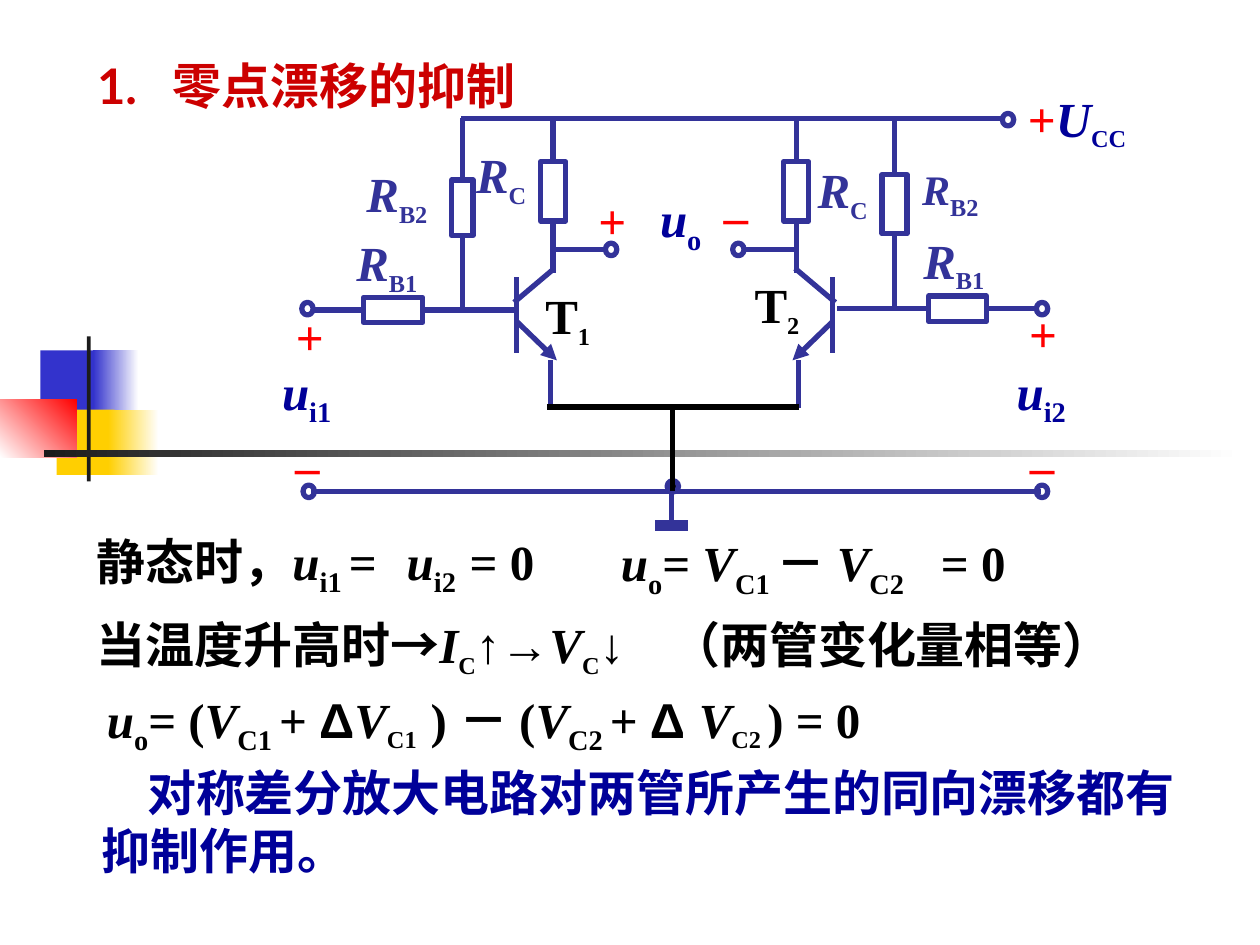
from typing import NamedTuple, Optional

from lxml.etree import SubElement
from pptx import Presentation
from pptx.dml.color import RGBColor
from pptx.enum.shapes import MSO_CONNECTOR, MSO_SHAPE
from pptx.enum.text import MSO_ANCHOR, MSO_AUTO_SIZE, PP_ALIGN
from pptx.oxml.ns import qn
from pptx.util import Inches, Pt

SERIF = "Times New Roman"
BLUE, NAVY, RED, BLACK = "333399", "000099", "FF0000", "000000"
TOP, LEFT, BOTTOM, RIGHT = range(4)


class Run(NamedTuple):
    text: str
    italic: bool = False
    drop: int = 0
    size: int = 28
    font: str = SERIF
    color: Optional[str] = None


class Label(NamedTuple):
    box: tuple
    runs: list
    color: str = BLACK
    tabs: tuple = ()
    indent: float = 0


class Block(NamedTuple):
    box: tuple
    start: str
    end: Optional[str] = None
    angle: int = 180


class Part(NamedTuple):
    """Resistor, placed by its centre."""
    x: float
    y: float
    w: float
    h: float


class Wire(NamedTuple):
    x1: float
    y1: float
    x2: float
    y2: float
    start: Optional[tuple] = None
    color: str = BLUE
    width: float = 3
    arrow: bool = False


def var(text: str, size: int = 28) -> Run:
    return Run(text, italic=True, size=size)


def sub(text: str, size: int = 28) -> Run:
    return Run(text, drop=-25, size=size)


def sym(text: str) -> Run:
    return Run(text, font="Arial")


def rgb(code: str) -> RGBColor:
    return RGBColor.from_string(code)


def set_tabs(para, stops: tuple) -> None:
    if stops:
        tabs = SubElement(para._p.get_or_add_pPr(), qn("a:tabLst"))
        for stop in stops:
            SubElement(tabs, qn("a:tab"), pos=str(Inches(stop)), algn="l")


def write(para, runs: list, color: str) -> None:
    for item in runs:
        run = para.add_run()
        run.text = item.text
        font = run.font
        font.name, font.size = item.font, Pt(item.size)
        font.bold, font.italic = True, item.italic
        font.color.rgb = rgb(item.color or color)
        if item.drop:
            run._r.get_or_add_rPr().set("baseline", str(item.drop * 1000))


def add_label(shapes, label: Label) -> None:
    frame = shapes.add_textbox(*map(Inches, label.box)).text_frame
    frame.word_wrap = True
    para = frame.paragraphs[0]
    if label.indent:
        para._p.get_or_add_pPr().set("indent", str(Inches(label.indent)))
    set_tabs(para, label.tabs)
    write(para, label.runs, label.color)


def add_sign(shapes, text: str, x: float, y: float) -> None:
    box = shapes.add_textbox(Inches(x), Inches(y), Inches(0.4), Inches(0.57))
    box.text_frame.word_wrap = False
    para = box.text_frame.paragraphs[0]
    para.alignment = PP_ALIGN.CENTER
    write(para, [Run(text)], RED)


def add_block(shapes, block: Block) -> None:
    shape = shapes.add_shape(MSO_SHAPE.RECTANGLE, *map(Inches, block.box))
    shape.shadow.inherit = False
    shape.line.fill.background()
    if block.end is None:
        shape.fill.solid()
        shape.fill.fore_color.rgb = rgb(block.start)
        return
    shape.fill.gradient()
    shape.fill.gradient_angle = block.angle
    for stop, code in zip(shape.fill.gradient_stops, (block.start, block.end)):
        stop.color.rgb = rgb(code)


def add_part(shapes, kind, x: float, y: float, w: float, h: float, fill=None):
    """Outlined shape with its centre at x, y."""
    shape = shapes.add_shape(kind, *map(Inches, (x - w / 2, y - h / 2, w, h)))
    shape.shadow.inherit = False
    shape.line.color.rgb, shape.line.width = rgb(BLUE), Pt(3)
    if fill:
        shape.fill.solid()
        shape.fill.fore_color.rgb = rgb(fill)
    else:
        shape.fill.background()
    return shape


def add_wire(shapes, wire: Wire, parts: dict) -> None:
    line = shapes.add_connector(MSO_CONNECTOR.STRAIGHT, *map(Inches, wire[:4]))
    SubElement(line._element.spPr, qn("a:effectLst"))
    line.line.color.rgb, line.line.width = rgb(wire.color), Pt(wire.width)
    if wire.start:
        name, side = wire.start
        line.begin_connect(parts[name], side)
    if wire.arrow:
        SubElement(line.line._get_or_add_ln(), qn("a:tailEnd"), type="triangle")


BLOCKS = [
    Block((0.32, 2.78, 0.48, 0.52), "3333CC"),
    Block((0.74, 2.78, 0.36, 0.52), "FFFFFF", "3333CC"),
    Block((0.45, 3.25, 0.46, 0.52), "FFCF01"),
    Block((0.86, 3.25, 0.4, 0.52), "FFFFFF", "FFCF01"),
    Block((0, 3.17, 0.61, 0.46), RED, "FFFFFF", 225),
    Block((0.69, 2.67, 0.03, 1.15), "1C1C1C"),
    Block((0.35, 3.57, 9.51, 0.06), "FFFFFF", "1C1C1C"),
]
PARTS = {
    "RB2 left": Part(3.67, 1.65, 0.17, 0.44), "RC left": Part(4.39, 1.52, 0.2, 0.47),
    "RC right": Part(6.32, 1.52, 0.2, 0.47), "RB2 right": Part(7.1, 1.62, 0.2, 0.47),
    "RB1 left": Part(3.12, 2.46, 0.47, 0.2), "RB1 right": Part(7.6, 2.45, 0.46, 0.2),
}
WIRES = [
    Wire(3.66, 0.94, 7.96, 0.94),
    *(Wire(PARTS[n].x, 1.4, PARTS[n].x, 0.94, (n, TOP)) for n in list(PARTS)[:4]),
    *(Wire(PARTS[n].x, 1.8, PARTS[n].x, y, (n, BOTTOM))
      for n, y in zip(list(PARTS)[:4], (2.48, 2.17, 2.17, 2.46))),
    Wire(2.88, 2.46, 2.47, 2.46, ("RB1 left", LEFT)),
    Wire(3.35, 2.46, 4.09, 2.46, ("RB1 left", RIGHT)),
    Wire(7.37, 2.45, 6.64, 2.45, ("RB1 right", LEFT)),
    Wire(7.83, 2.45, 8.23, 2.45, ("RB1 right", RIGHT)),
    Wire(4.37, 1.98, 4.8, 1.98), Wire(6.34, 1.98, 5.9, 1.98),
    Wire(8.26, 3.9, 2.47, 3.9), Wire(5.33, 3.9, 5.33, 4.17),
    Wire(5.2, 4.17, 5.46, 4.17, width=6),
]
for base, way in ((4.1, 1), (6.61, -1)):
    WIRES += [
        Wire(base, 2.2, base, 2.8),
        Wire(base, 2.55, base + way * 0.32, 2.86, arrow=True),
        Wire(base - way * 0.02, 2.4, base + way * 0.3, 2.13),
        Wire(base + way * 0.27, 2.86, base + way * 0.27, 3.24),
    ]
COMMON = [Wire(4.34, 3.23, 6.34, 3.23, color=BLACK),
          Wire(5.34, 3.9, 5.34, 3.23, color=BLACK)]
ENDS = [(8, 0.95), (8.27, 2.45), (2.44, 2.45), (4.85, 1.98), (5.86, 1.98),
        (2.45, 3.9), (8.27, 3.9)]
SIGNS = [("+", 2.25, 2.38), ("+", 8.07, 2.36), ("+", 4.65, 1.46),
         ("–", 2.24, 3.41), ("–", 5.64, 1.42), ("–", 8.07, 3.41)]
LABELS = [
    Label((4.83, 4.18, 4.33, 0.73),
          [var("u"), sub("o"), Run("= "), var("V"), sub("C1 "), Run("－ "),
           var("V"), sub("C2"), Run("\t= 0")], tabs=(2.54,)),
    Label((0.75, 5.42, 7.87, 0.73),
          [var("u"), sub("o"), Run("= ("), var("V"), sub("C1 "), Run("+ "), sym("Δ"),
           var("V"), sub("C1", 24), Run("\t) － ("), var("V"), sub("C2 "), Run("+ "),
           sym("Δ "), var("V"), sub("C2 ", 24), Run(") = 0")], tabs=(2.57,)),
    Label((0.67, 4.17, 4.64, 0.73),
          [Run("静态时，"), var("u"), sub("i1 "), Run("=\t"), var("u"), sub("i2"),
           Run("\t= 0")], tabs=(2.46, 2.96)),
    Label((0.67, 4.83, 8.58, 0.61),
          [Run("当温度升高时"), sym("→"), var("I"), sub("C", 24), sym("↑→"), var("V"),
           sub("C", 24), sym("↓"), Run("\t（两管变化量相等）")], tabs=(4.56,)),
    Label((0.71, 6, 8.87, 1.04),
          [Run("对称差分放大电路对两管所产生的同向漂移都有抑制作用。")], NAVY, indent=0.36),
    Label((8.06, 0.65, 1.11, 0.61),
          [Run("+", color=RED), var("U"), sub("CC", 24)], NAVY),
    *(Label((x, y, 0.8, 0.62), [var("u"), sub(s)], NAVY)
      for x, y, s in ((5.14, 1.45, "o"), (2.14, 2.82, "i1"), (7.97, 2.82, "i2"))),
    *(Label((x, y, 0.97, 0.6), [var("R", size), sub(s, 24)], BLUE)
      for x, y, s, size in ((3.68, 1.1, "C", 28), (2.81, 1.25, "B2", 28),
                            (2.73, 1.8, "B1", 28), (6.39, 1.22, "C", 28),
                            (7.22, 1.25, "B2", 24), (7.23, 1.78, "B1", 28))),
    *(Label((x, y, 0.9, 0.61), [Run("T"), sub(s, 24)])
      for x, y, s in ((4.23, 2.22, "1"), (5.89, 2.13, "2"))),
]


def main() -> None:
    deck = Presentation()
    deck.slide_width, deck.slide_height = Inches(10), Inches(7.5)
    slide = deck.slides.add_slide(deck.slide_layouts[5])
    shapes = slide.shapes
    title = shapes.title
    title.left, title.top, title.width, title.height = map(Inches, (0.67, 0.21, 4, 0.75))
    frame = title.text_frame
    frame.vertical_anchor, frame.auto_size = MSO_ANCHOR.BOTTOM, MSO_AUTO_SIZE.NONE
    para = frame.paragraphs[0]
    para.alignment = PP_ALIGN.LEFT
    set_tabs(para, (0.6,))
    write(para, [Run("1.\t零点漂移的抑制", font="Lato")], "CC0000")

    for block in BLOCKS:
        add_block(shapes, block)
    for label in LABELS:
        add_label(shapes, label)
    parts = {name: add_part(shapes, MSO_SHAPE.RECTANGLE, *part)
             for name, part in PARTS.items()}
    for wire in WIRES:
        add_wire(shapes, wire, parts)
    for x, y in ENDS:
        add_part(shapes, MSO_SHAPE.OVAL, x, y, 0.09, 0.1)
    add_part(shapes, MSO_SHAPE.OVAL, 5.34, 3.86, 0.09, 0.09, BLACK)
    for wire in COMMON:
        add_wire(shapes, wire, parts)
    for sign in SIGNS:
        add_sign(shapes, *sign)
    deck.save("out.pptx")


if __name__ == "__main__":
    main()
